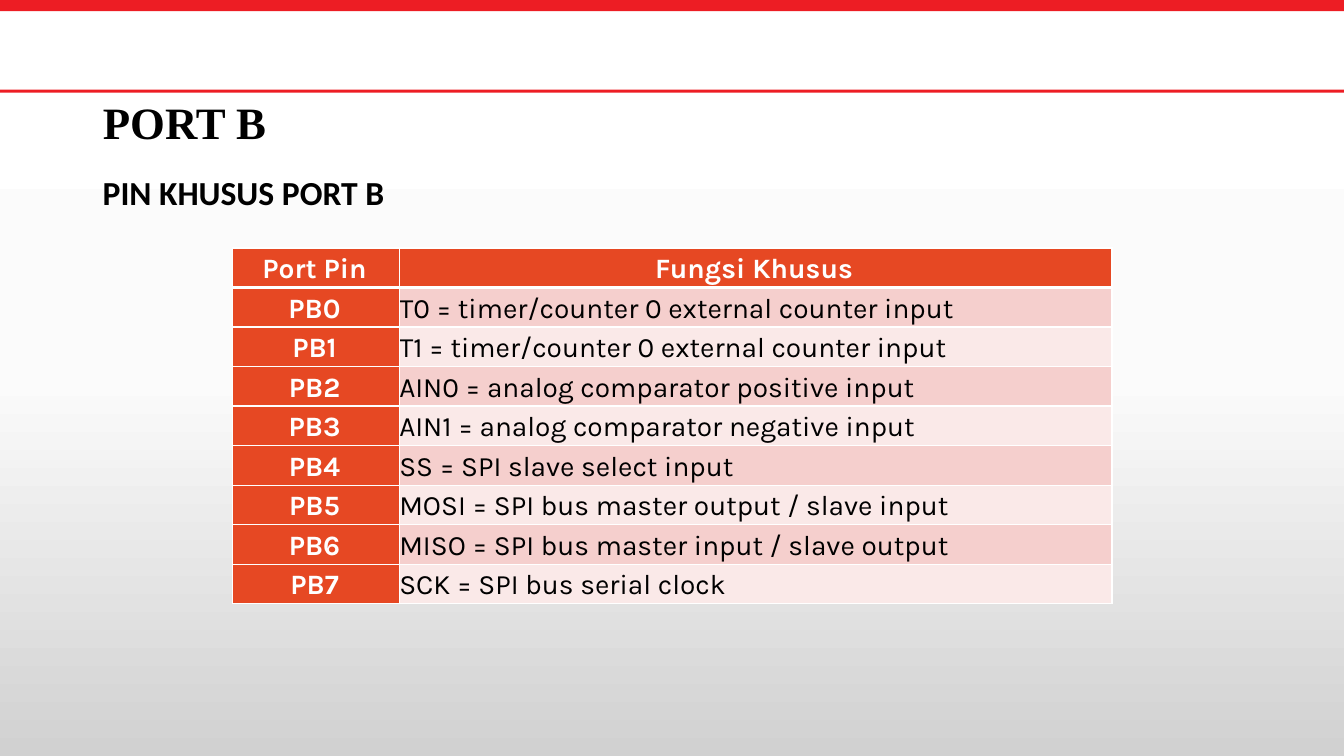
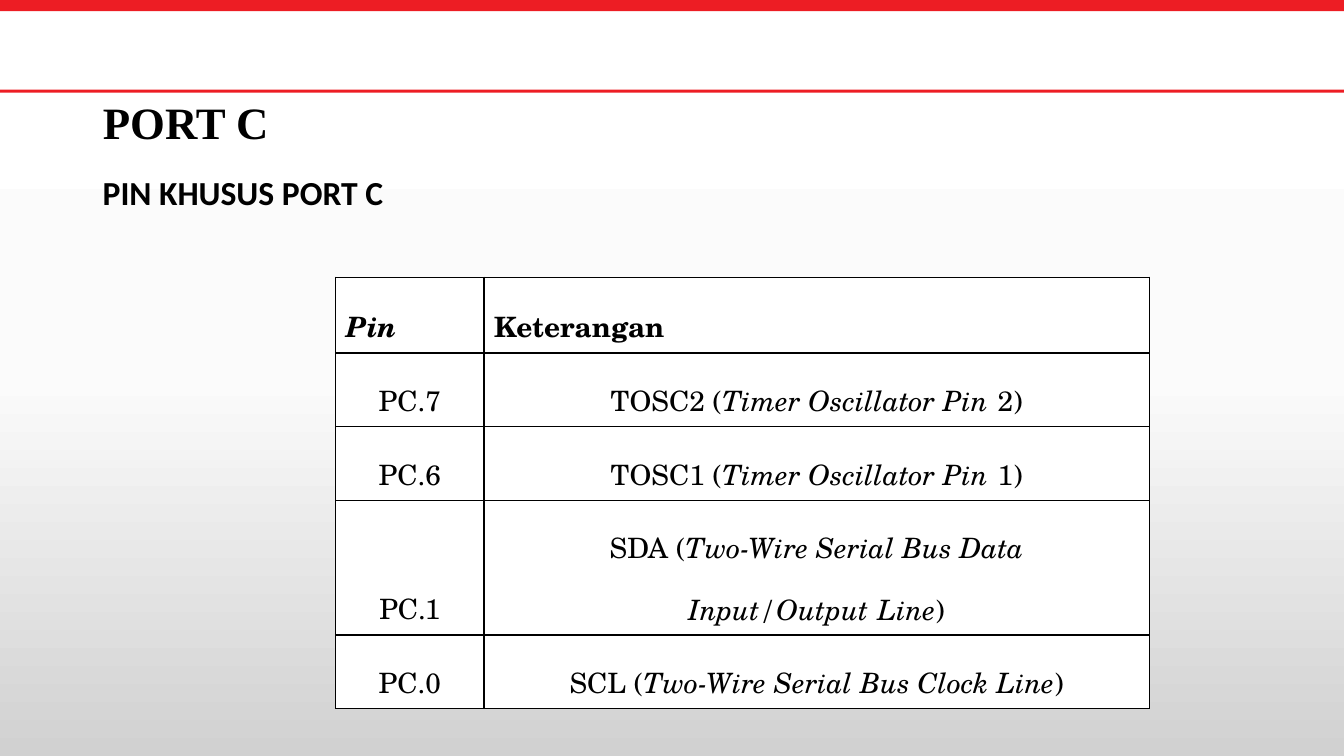
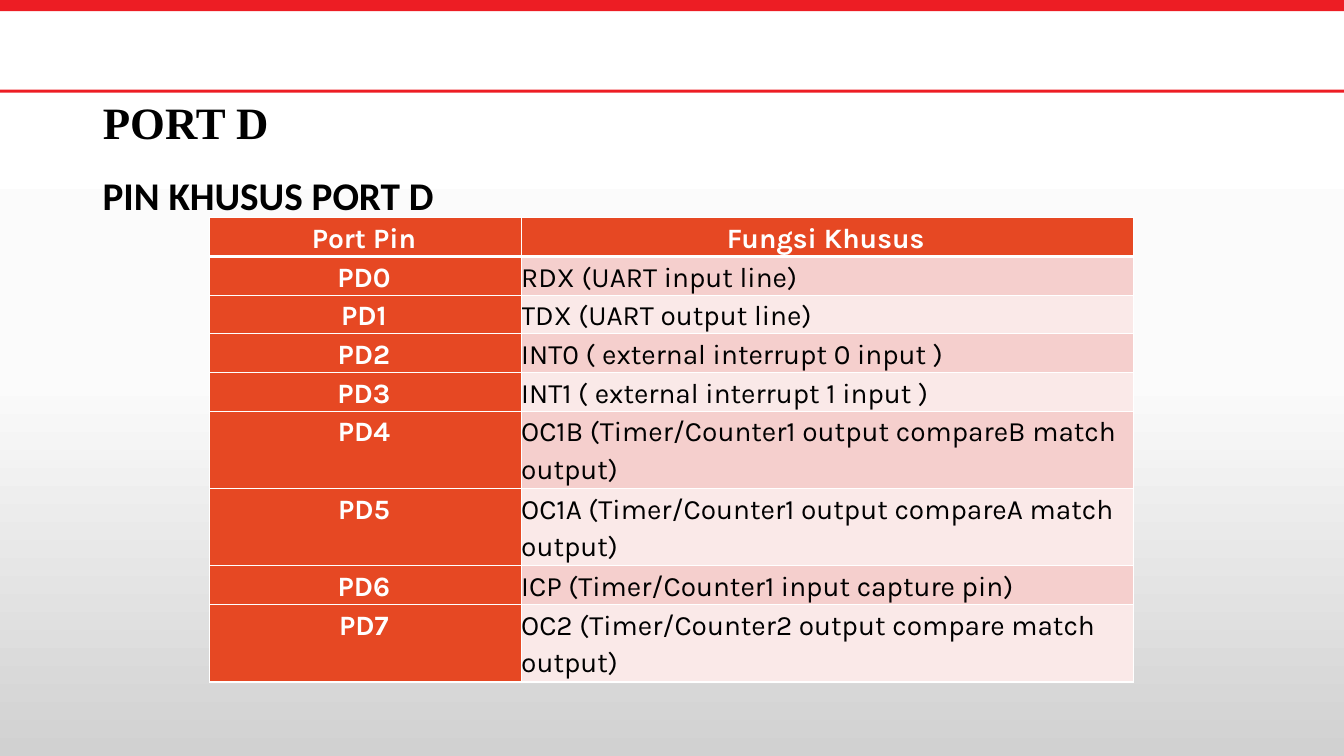
from copy import deepcopy

from pptx import Presentation
from pptx.dml.color import RGBColor
from pptx.enum.shapes import MSO_SHAPE
from pptx.enum.text import MSO_ANCHOR, PP_ALIGN
from pptx.oxml import parse_xml
from pptx.oxml.ns import nsdecls
from pptx.util import Inches, Pt

RED, ORANGE, PINK, PALE = "ED1D24", "E64823", "F5CFCD", "FAE9E8"
BLACK, WHITE = "000000", "FFFFFF"
BACK = [(0, WHITE), (0.5, "FBFBFB"), (1, "D1D1D1")]
BANDS = [(0, 0.11), (0.89, 0.03)]  # top, height
HARD = chr(160)  # no-break space

COLOUR = dict(face="Karla", edge=WHITE, rule=3, head=ORANGE, side=ORANGE,
              rows=(PINK, PALE), light=WHITE, strong=True, space=1.15,
              inset=(0, 0, 0.03, 0), anchor=MSO_ANCHOR.TOP,
              title=PP_ALIGN.CENTER, text=PP_ALIGN.LEFT)
PLAIN = dict(face="TeX Gyre Schola", edge=BLACK, rule=1, head=WHITE, side=WHITE,
             rows=(WHITE, WHITE), light=BLACK, strong=False, space=1.5,
             inset=(0.1, 0.06, 0.1, 0.06), anchor=MSO_ANCHOR.BOTTOM,
             title=PP_ALIGN.LEFT, text=PP_ALIGN.CENTER)

# Text between asterisks is italic and "~" is a no-break space;
# "tall" gives the relative height of a row.
SLIDES = [
    dict(port="PORT B", size=24, style=COLOUR, at=(2.31, 2.46),
         cols=(1.65, 7.07), height=3.53, tall={}, cells=[
             ("Port Pin", "Fungsi Khusus"),
             ("PB0", "T0 = timer/counter 0 external counter input"),
             ("PB1", "T1 = timer/counter 0 external counter input"),
             ("PB2", "AIN0 = analog comparator positive input"),
             ("PB3", "AIN1 = analog comparator negative input"),
             ("PB4", "SS = SPI slave select input"),
             ("PB5", "MOSI = SPI bus master output / slave input"),
             ("PB6", "MISO = SPI bus master input / slave output"),
             ("PB7", "SCK = SPI bus serial clock")]),
    dict(port="PORT C", size=24, style=PLAIN, at=(3.33, 2.75),
         cols=(1.47, 6.6), height=4.28, tall={0: 1.03, 3: 1.83}, cells=[
             ("*Pin*", "Keterangan"),
             ("PC.7", "TOSC2 (*Timer Oscillator Pin*~2)"),
             ("PC.6", "TOSC1 (*Timer Oscillator Pin*~1)"),
             ("PC.1", "SDA (*Two-Wire Serial Bus Data Input/Output~Line*)"),
             ("PC.0", "SCL (*Two-Wire Serial Bus Clock Line*)")]),
    dict(port="PORT D", size=28, style=COLOUR, at=(2.08, 2.16),
         cols=(3.09, 6.07), height=4.59, tall={5: 2, 6: 2, 8: 2}, cells=[
             ("Port Pin", "Fungsi Khusus"),
             ("PD0", "RDX (UART input line)"),
             ("PD1", "TDX (UART output line)"),
             ("PD2", "INT0 ( external interrupt 0 input )"),
             ("PD3", "INT1 ( external interrupt 1 input )"),
             ("PD4", "OC1B (Timer/Counter1 output compareB match output)"),
             ("PD5", "OC1A (Timer/Counter1 output compareA match output)"),
             ("PD6", "ICP (Timer/Counter1 input capture pin)"),
             ("PD7", "OC2 (Timer/Counter2 output compare match output)")]),
]


def rgb(code):
    return RGBColor.from_string(code)


def set_font(para, face, size, code, bold):
    font = para.font
    font.name, font.size, font.bold = face, Pt(size), bold
    font.color.rgb = rgb(code)


def set_back(master):
    fill = master.background.fill
    fill.gradient()
    fill.gradient_angle = 270
    last = fill.gradient_stops[1]._gs
    last.addnext(deepcopy(last))
    for stop, (pos, code) in zip(fill.gradient_stops, BACK):
        stop.position = pos
        stop.color.rgb = rgb(code)


def add_bands(slide, layout, width):
    """Draw the red bands on a slide, then move them to its layout."""
    for i, (top, high) in enumerate(BANDS):
        band = slide.shapes.add_shape(
            MSO_SHAPE.RECTANGLE, 0, Inches(top), width, Inches(high))
        band.shadow.inherit = False
        band.fill.solid()
        band.fill.fore_color.rgb = rgb(RED)
        band.line.fill.background()
        band.element.nvSpPr.cNvPr.set("id", str(50 + i))
        layout.element.cSld.spTree.insert(2 + i, band.element)


def add_heads(slide, port, size):
    title = slide.shapes.title
    title.left, title.top = Inches(0.92), Inches(0.99)
    title.width, title.height = Inches(11.5), Inches(0.5)
    sub = slide.shapes.add_textbox(
        Inches(0.92), Inches(1.7), Inches(11.5), Inches(0.5))
    for box, text, face, pt, anchor in (
            (title, port, "Times New Roman", 32, MSO_ANCHOR.MIDDLE),
            (sub, f"PIN KHUSUS {port}", "Calibri", size, MSO_ANCHOR.TOP)):
        frame = box.text_frame
        frame.word_wrap = True
        frame.vertical_anchor = anchor
        frame.text = text
        para = frame.paragraphs[0]
        para.alignment = PP_ALIGN.LEFT
        para.line_spacing = 0.9
        set_font(para, face, pt, BLACK, True)


def set_edges(cell, code, top, foot):
    props = cell._tc.get_or_add_tcPr()
    for side, width in (("L", 1), ("R", 1), ("T", top), ("B", foot)):
        props.append(parse_xml(
            f'<a:ln{side} {nsdecls("a")} w="{Pt(width)}"><a:solidFill>'
            f'<a:srgbClr val="{code}"/></a:solidFill></a:ln{side}>'))


def fill_cell(cell, text, row, col, style):
    head, side = row == 0, col == 0
    set_edges(cell, style["edge"], style["rule"] if row == 1 else 1,
              style["rule"] if head else 1)
    cell.fill.solid()
    cell.fill.fore_color.rgb = rgb(
        style["head"] if head else style["side"] if side
        else style["rows"][(row - 1) % 2])
    (cell.margin_left, cell.margin_top, cell.margin_right,
     cell.margin_bottom) = map(Inches, style["inset"])
    cell.vertical_anchor = style["anchor"]
    para = cell.text_frame.paragraphs[0]
    para.alignment = (style["title"] if head else
                      PP_ALIGN.CENTER if side else style["text"])
    para.line_spacing = style["space"]
    set_font(para, style["face"], 20,
             style["light"] if head or side else BLACK,
             head or (side and style["strong"]))
    for i, part in enumerate(text.replace("~", HARD).split("*")):
        if part:
            run = para.add_run()
            run.text = part
            run.font.italic = i % 2 == 1


def add_grid(slide, at, cols, height, tall, cells, style):
    left, top = at
    table = slide.shapes.add_table(
        len(cells), len(cols), Inches(left), Inches(top),
        Inches(sum(cols)), Inches(height)).table
    table.first_row = table.horz_banding = False
    for col, width in zip(table.columns, cols):
        col.width = Inches(width)
    parts = [tall.get(r, 1) for r in range(len(cells))]
    for r, texts in enumerate(cells):
        table.rows[r].height = Inches(height * parts[r] / sum(parts))
        for c, text in enumerate(texts):
            fill_cell(table.cell(r, c), text, r, c, style)


def main():
    deck = Presentation()
    deck.slide_width, deck.slide_height = Inches(13.33), Inches(7.5)
    layout = deck.slide_layouts[5]
    set_back(deck.slide_master)
    for i, data in enumerate(SLIDES):
        slide = deck.slides.add_slide(layout)
        if i == 0:
            add_bands(slide, layout, deck.slide_width)
        add_heads(slide, data["port"], data["size"])
        add_grid(slide, data["at"], data["cols"], data["height"],
                 data["tall"], data["cells"], data["style"])
    deck.save("out.pptx")


if __name__ == "__main__":
    main()
